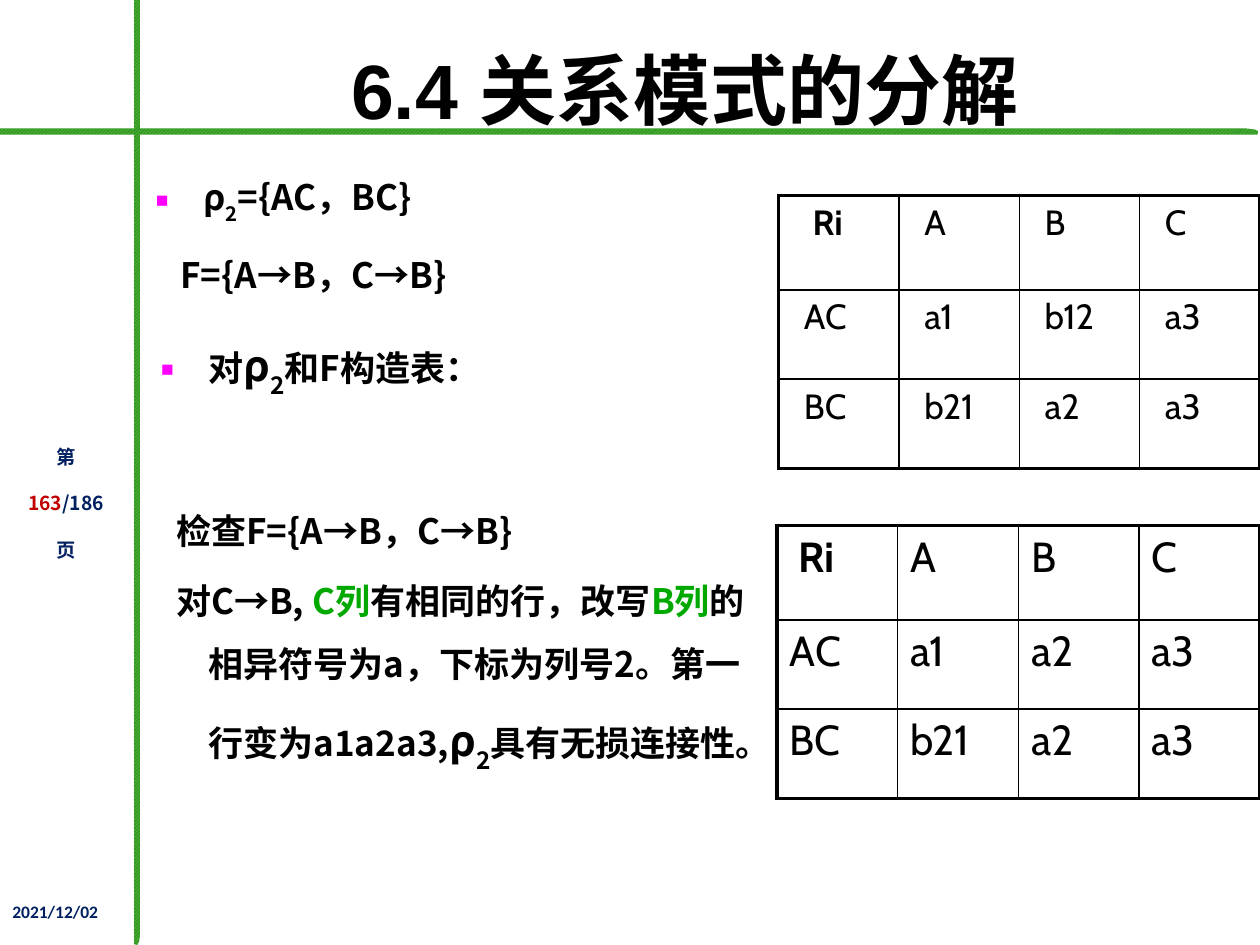
"""Build the slide on decomposing relation schemas, with two tableau tables."""
from lxml import etree
from pptx import Presentation
from pptx.dml.color import RGBColor
from pptx.enum.dml import MSO_PATTERN
from pptx.enum.text import MSO_ANCHOR, PP_ALIGN
from pptx.oxml.ns import qn
from pptx.util import Pt

CENTER, LEFT = PP_ALIGN.CENTER, PP_ALIGN.LEFT
TOP, MIDDLE = MSO_ANCHOR.TOP, MSO_ANCHOR.MIDDLE
DIAGONAL = MSO_PATTERN.DARK_UPWARD_DIAGONAL
CJK = "Noto Sans CJK SC"
COLORS = {"black": "000000", "navy": "002060", "red": "C00000", "green": "00A800",
          "bullet": "FF00FF", "lime": "80CB35", "leaf": "329A2A"}


def write_spans(para, spans, name, size, bold=True):
    for text, changes in spans:
        style = {"color": "black", "base": 0, "size": size, **changes}
        span = para.add_run()
        span.text = text
        for key, value in {"name": name, "size": Pt(style["size"]), "bold": bold}.items():
            setattr(span.font, key, value)
        span.font.color.rgb = RGBColor.from_string(COLORS[style["color"]])
        properties = span._r.get_or_add_rPr()
        etree.SubElement(properties, qn("a:ea")).set("typeface", name)
        if style["base"]:
            properties.set("baseline", str(style["base"]))


def add_text(page, place, paragraphs, name=CJK, size=20, spacing=1.5, before=4,
             align=LEFT, anchor=TOP):
    frame = page.shapes.add_textbox(*map(Pt, place)).text_frame
    frame.word_wrap = True
    frame.vertical_anchor = anchor
    for index, (margin, indent, bullet, spans) in enumerate(paragraphs):
        para = frame.paragraphs[0] if index == 0 else frame.add_paragraph()
        properties = para._p.get_or_add_pPr()
        properties.set("marL", str(Pt(margin)))
        properties.set("indent", str(Pt(indent)))
        if bullet:
            color = etree.SubElement(properties, qn("a:buClr"))
            etree.SubElement(color, qn("a:srgbClr")).set("val", COLORS["bullet"])
            for tag, key, value in (("a:buSzPct", "val", "60000"),
                                    ("a:buFont", "typeface", "Arial"),
                                    ("a:buChar", "char", "■")):
                etree.SubElement(properties, qn(tag)).set(key, value)
        para.alignment = align
        para.line_spacing = spacing
        if index:
            para.space_before = Pt(before)
        write_spans(para, spans, name, size)


deck = Presentation()
deck.slide_width, deck.slide_height = Pt(720), Pt(540)
page = deck.slides.add_slide(deck.slide_layouts[6])

bars = [
    [(0, 73.4), (712, 73.4), (717, 74), (719, 75), (718.5, 77), (0, 77)],
    [(80, 0), (80, 534), (79.5, 538), (78.5, 540), (76.3, 539.5), (76.3, 0)],
]
for points in bars:
    (start_x, start_y), *others = points
    builder = page.shapes.build_freeform(Pt(start_x), Pt(start_y))
    builder.add_line_segments([(Pt(x), Pt(y)) for x, y in others], close=True)
    bar = builder.convert_to_shape()
    bar.shadow.inherit = False
    bar.line.fill.background()
    bar.fill.patterned()
    bar.fill.pattern = DIAGONAL
    bar.fill.fore_color.rgb = RGBColor.from_string(COLORS["lime"])
    bar.fill.back_color.rgb = RGBColor.from_string(COLORS["leaf"])

navy, red, green = ({"color": color} for color in ("navy", "red", "green"))
big_rho = [("ρ", {"size": 24}), ("2", {"size": 24, "base": -30000})]

add_text(page, (0, 213, 75.6, 136), [
    (0, 0, False, [("第", navy)]),
    (0, 0, False, [("163", red), ("/186", navy)]),
    (0, 0, False, [("页", navy)]),
], size=11, spacing=2.0, before=0, align=CENTER, anchor=MIDDLE)

add_text(page, (116, 12.2, 551, 77), [(0, 0, False, [("6.4 关系模式的分解", {})])],
         name="Arial", size=44, spacing=1.0, align=CENTER, anchor=MIDDLE)

tables = [
    (445, 111.6, 68.75, 14.4, 20, [" A B C", "AC a1 b12 a3", "BC b21 a2 a3"]),
    (444, 300.2, 69, 7.2, 24, [" A B C", "AC a1 a2 a3", "BC b21 a2 a3"]),
]
for left, top, width, inset, size, lines in tables:
    table = page.shapes.add_table(3, 4, Pt(left), Pt(top), Pt(4 * width), Pt(156)).table
    table.first_row = table.horz_banding = False
    for column in table.columns:
        column.width = Pt(width)
    for row, (height, line) in enumerate(zip((54, 51, 51), lines)):
        table.rows[row].height = Pt(height)
        for column, text in enumerate(line.split(" ")):
            cell = table.cell(row, column)
            corner = row == column == 0
            cell.margin_left = Pt(inset + 5 * corner)
            cell.margin_right = Pt(inset)
            write_spans(cell.text_frame.paragraphs[0], [("Ri" if corner else text, {})],
                        "Cabin", size, bold=corner)
            outer = {"a:lnL": column == 0, "a:lnR": column == 3,
                     "a:lnT": row == 0, "a:lnB": row == 2}
            for tag, thick in outer.items():
                border = etree.SubElement(cell._tc.get_or_add_tcPr(), qn(tag))
                border.set("w", str(Pt(2.25 if thick else 1)))
                fill = etree.SubElement(border, qn("a:solidFill"))
                etree.SubElement(fill, qn("a:srgbClr")).set("val", COLORS["black"])
            cell.fill.background()

add_text(page, (82, 82.8, 228, 66), [
    (27, -27, True, [("ρ", {}), ("2", {"base": -30000}), ("={AC，BC}", {})]),
    (14, 0, False, [("F={A→B，C→B}", {})]),
])
add_text(page, (85, 173.5, 228, 42), [
    (27, -27, True, [("对", {}), *big_rho, ("和F构造表：", {})]),
])
add_text(page, (85, 275.8, 349, 204), [
    (27, -18.5, False, [("检查F={A→B，C→B}", {})]),
    (27, -18.5, False, [
        ("对C→B, ", {}), ("C列", green), ("有相同的行，改写", {}), ("B列", green),
        ("的相异符号为a，下标为列号2。第一行变为a1a2a3,", {}), *big_rho,
        ("具有无损连接性。", {})]),
])
add_text(page, (0, 511.2, 78, 28.8), [(0, 0, False, [("2021/12/02", navy)])],
         name="Calibri", size=10, spacing=1.0)

deck.save("out.pptx")
